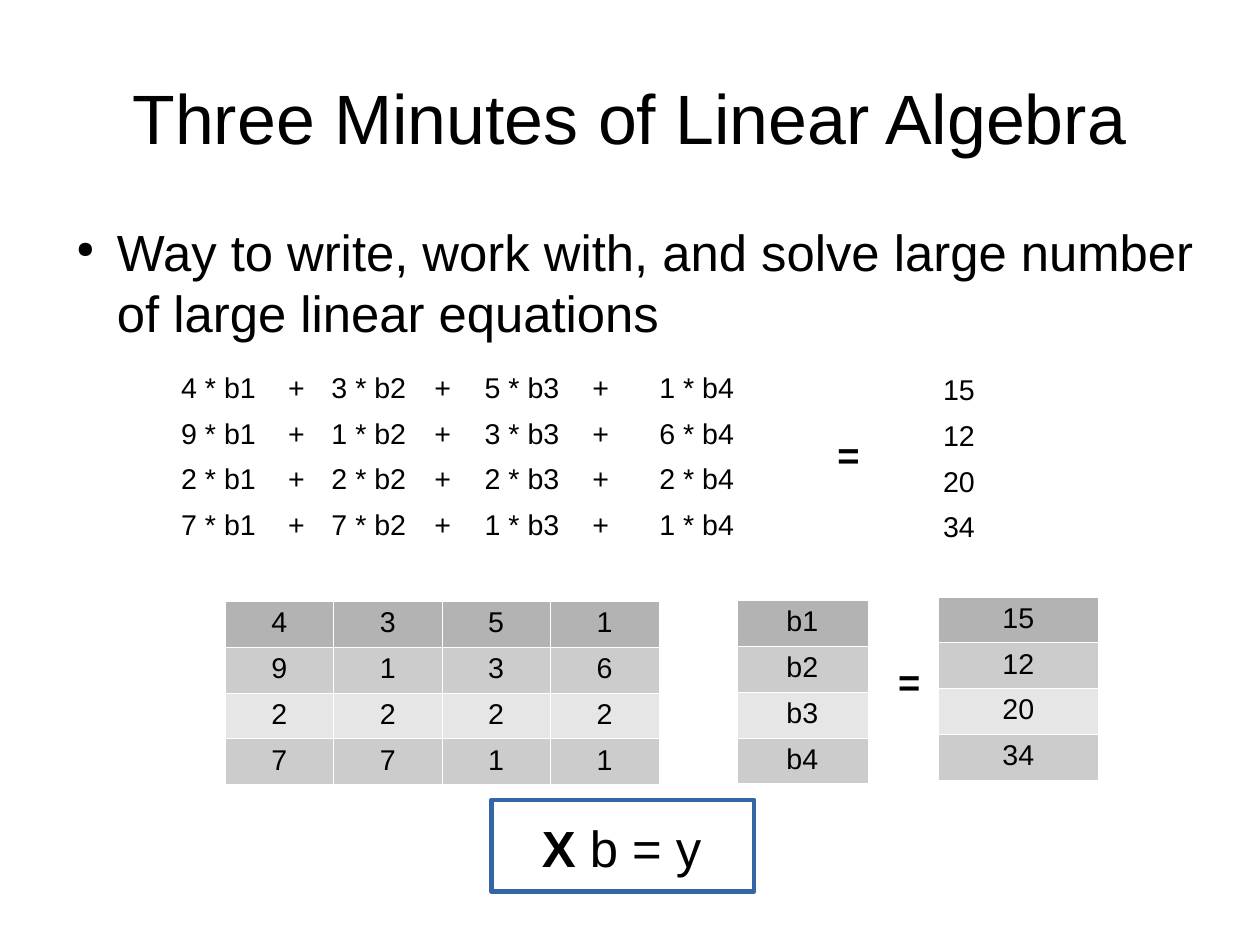
from lxml import etree
from pptx import Presentation
from pptx import util as u
from pptx.dml import color as dml
from pptx.enum import shapes, text
from pptx.oxml import ns

BLACK, WHITE, BLUE = "000000", "FFFFFF", "3465A4"
ROW_GREYS = ["B3B3B3", "CCCCCC", "E6E6E6", "CCCCCC"]
LEFT, CENTER = text.PP_ALIGN.LEFT, text.PP_ALIGN.CENTER


def rgb(value):
    return dml.RGBColor.from_string(value)


def add_element(parent, tag, **attributes):
    element = etree.SubElement(parent, ns.qn(tag))
    for name, value in attributes.items():
        element.set(name, value)
    return element


class SlideBuilder:
    font = "Arial"

    def __init__(self, slide):
        self.slide = slide

    def add_runs(self, paragraph, runs, size, align=LEFT):
        """Add (wording, bold) runs to a paragraph."""
        paragraph.alignment = align
        for wording, bold in runs:
            run = paragraph.add_run()
            run.text = wording
            run.font.name = self.font
            run.font.size = u.Pt(size)
            run.font.bold = bold
            run.font.color.rgb = rgb(BLACK)

    def text_box(self, box, runs, size, align=LEFT, wrap=False, inset=(0.25, 0.13),
                 anchor=text.MSO_ANCHOR.TOP):
        shape = self.slide.shapes.add_textbox(*map(u.Cm, box))
        frame = shape.text_frame
        frame.word_wrap = wrap
        frame.vertical_anchor = anchor
        frame.margin_left = frame.margin_right = u.Cm(inset[0])
        frame.margin_top = frame.margin_bottom = u.Cm(inset[1])
        paragraph = frame.paragraphs[0]
        self.add_runs(paragraph, runs, size, align)
        return paragraph

    def bullet(self, box, wording, size):
        paragraph = self.text_box(box, [(wording, False)], size, wrap=True, inset=(0, 0))
        properties = paragraph._p.get_or_add_pPr()
        properties.set("marL", str(u.Cm(1.2)))
        properties.set("indent", str(u.Cm(-0.9)))
        bullet_color = add_element(properties, "a:buClr")
        add_element(bullet_color, "a:srgbClr", val=BLACK)
        add_element(properties, "a:buSzPct", val="45000")
        add_element(properties, "a:buChar", char="●")

    def table(self, left, top, widths, row_height, rows, fills):
        frame = self.slide.shapes.add_table(
            len(rows), len(widths), u.Cm(left), u.Cm(top),
            u.Cm(sum(widths)), u.Cm(row_height * len(rows)))
        table = frame.table
        table.first_row = table.horz_banding = False
        for column, width in zip(table.columns, widths):
            column.width = u.Cm(width)
        for r, (values, fill) in enumerate(zip(rows, fills)):
            table.rows[r].height = u.Cm(row_height)
            for c, value in enumerate(values):
                cell = table.cell(r, c)
                align = LEFT if value == "+" else CENTER
                self.add_runs(cell.text_frame.paragraphs[0], [(value, False)], 18, align)
                self.cell_borders(cell)
                cell.fill.solid()
                cell.fill.fore_color.rgb = rgb(fill)

    def cell_borders(self, cell):
        properties = cell._tc.get_or_add_tcPr()
        for side in ("a:lnL", "a:lnR", "a:lnT", "a:lnB"):
            line = add_element(properties, side, w=str(u.Pt(0.06)))
            add_element(add_element(line, "a:solidFill"), "a:srgbClr", val=WHITE)

    def outline(self, box, line_color, width):
        shape = self.slide.shapes.add_shape(
            shapes.MSO_SHAPE.RECTANGLE, *map(u.Cm, box))
        shape.shadow.inherit = False
        shape.fill.background()
        shape.line.color.rgb = rgb(line_color)
        shape.line.width = u.Pt(width)


def main():
    presentation = Presentation()
    presentation.slide_width = u.Cm(28)
    presentation.slide_height = u.Cm(21)
    builder = SlideBuilder(presentation.slides.add_slide(presentation.slide_layouts[6]))

    # Title and statement
    builder.text_box((1.4, 0.84, 25.2, 3.5), [("Three Minutes of Linear Algebra", False)],
                     44, CENTER, True, (0, 0), text.MSO_ANCHOR.MIDDLE)
    builder.bullet((1.4, 4.9, 25.2, 12.17),
                   "Way to write, work with, and solve large number of large linear equations",
                   32)

    # The system of equations
    coefficients = [[4, 3, 5, 1], [9, 1, 3, 6], [2, 2, 2, 2], [7, 7, 1, 1]]
    unknowns = ["b1", "b2", "b3", "b4"]
    results = [["15"], ["12"], ["20"], ["34"]]
    equations = []
    for row in coefficients:
        terms = [f"{factor} * {unknown}" for factor, unknown in zip(row, unknowns)]
        equations.append("|+|".join(terms).split("|"))

    # Written out in full
    plain = [WHITE] * 4
    builder.table(3.56, 8.15, [2.59, 0.84, 2.41, 0.89, 2.62, 1.02, 3.1], 0.97,
                  equations, plain)
    builder.table(19.53, 8.2, [3.56], 0.97, results, plain)

    # As a matrix and two vectors
    matrix = [[str(factor) for factor in row] for row in coefficients]
    builder.table(5, 13.36, [2.41] * 4, 1.01, matrix, ROW_GREYS)
    builder.table(16.38, 13.34, [2.9], 1.01, [[name] for name in unknowns], ROW_GREYS)
    builder.table(20.85, 13.26, [3.56], 1.01, results, ROW_GREYS)

    # Equals signs
    for left, top in [(18.36, 9.45), (19.71, 14.5)]:
        builder.text_box((left, top, 1, 1.2), [("=", True)], 24)

    # Short form in its frame
    builder.text_box((11.79, 18.03, 4.06, 1.52), [("X ", True), ("b = y", False)], 32)
    builder.outline((10.92, 17.78, 5.84, 2.03), BLUE, 3)

    presentation.save("out.pptx")


if __name__ == "__main__":
    main()
